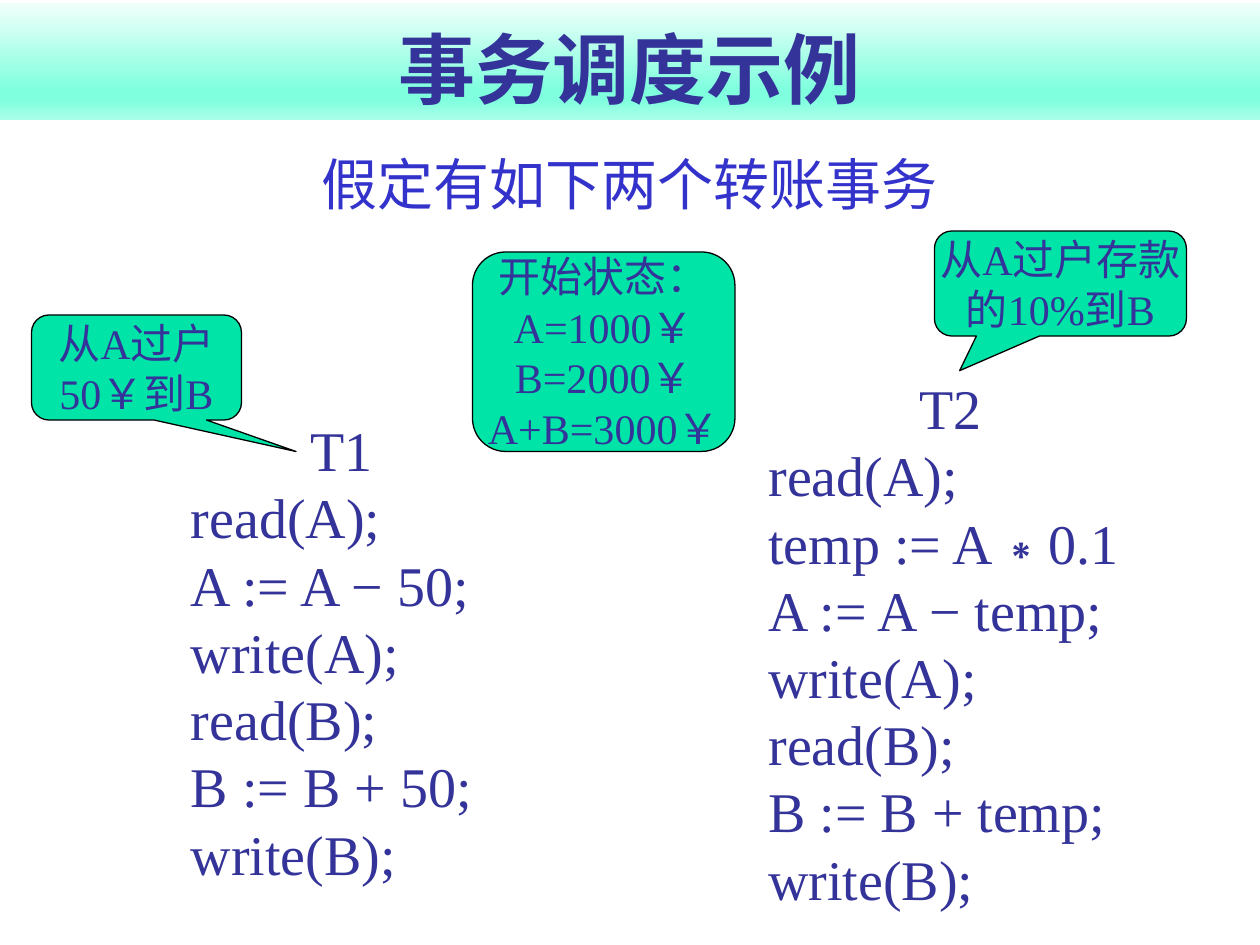
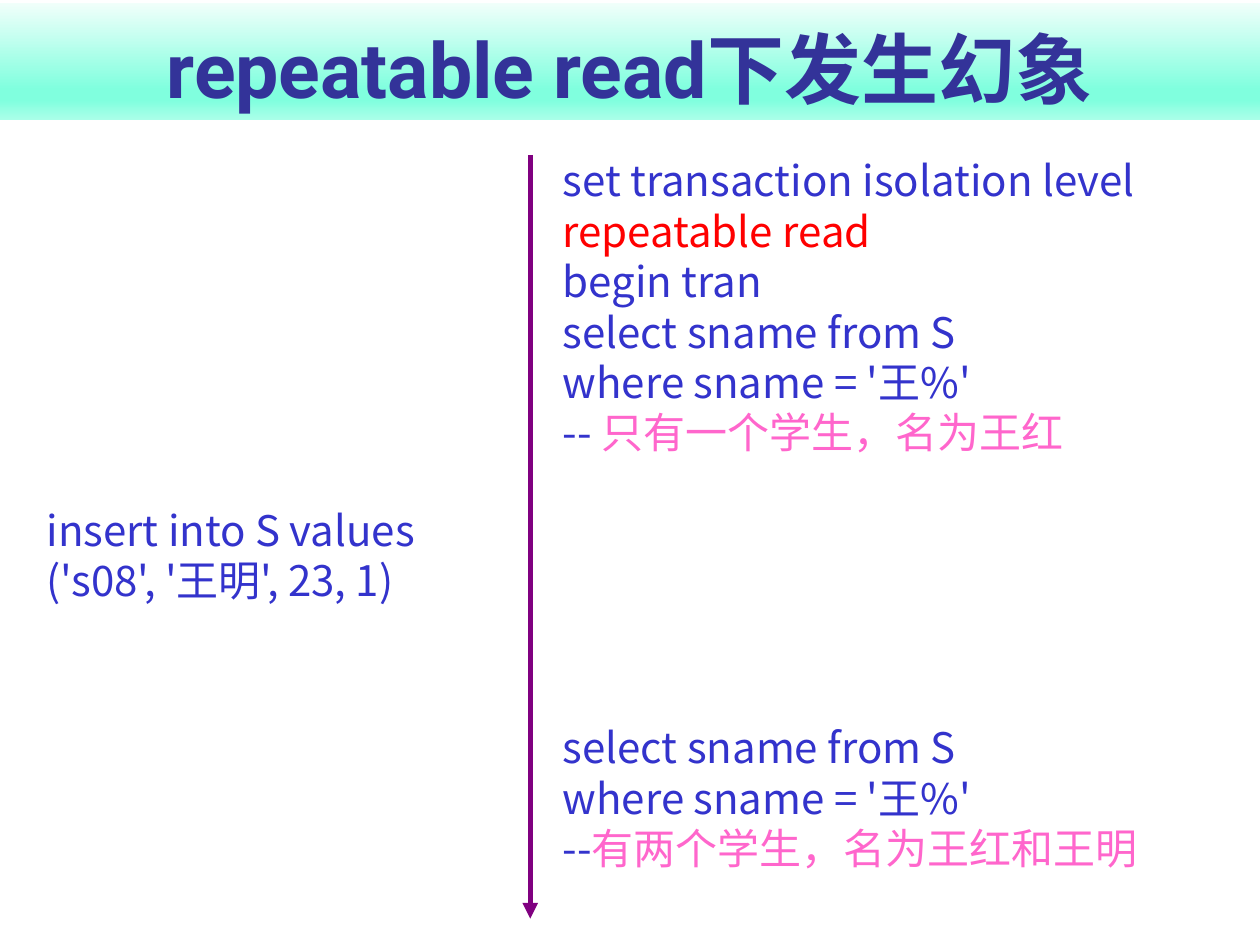
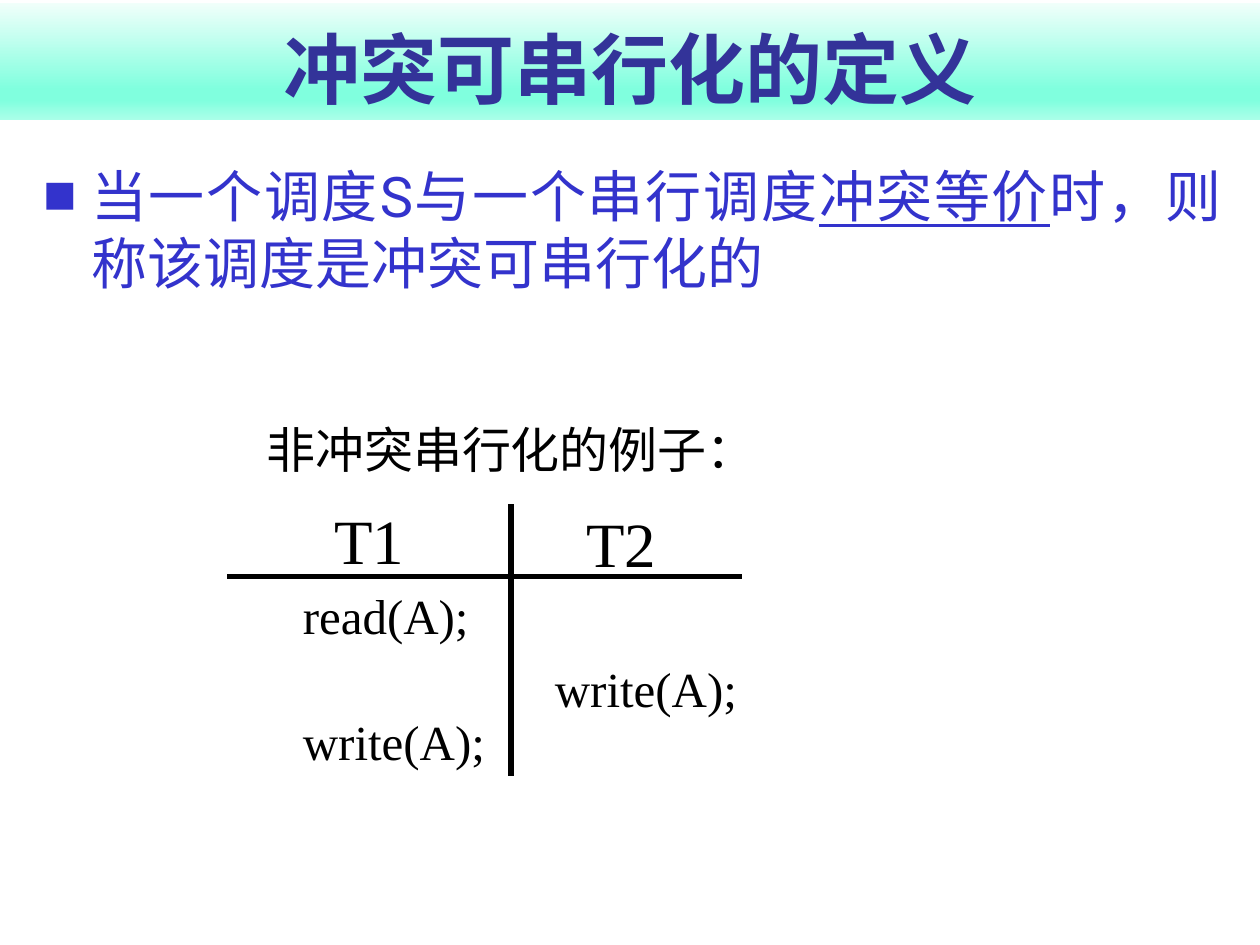
from dataclasses import dataclass
from typing import NamedTuple, Optional

from lxml.etree import SubElement
from pptx import Presentation
from pptx.dml.color import RGBColor
from pptx.enum.shapes import MSO_CONNECTOR as Connector, MSO_SHAPE as ShapeType
from pptx.enum.text import MSO_ANCHOR as Anchor, PP_ALIGN as Align
from pptx.oxml.ns import qn
from pptx.util import Pt

NAVY = RGBColor(0x33, 0x33, 0x99)
BLUE = RGBColor(0x33, 0x33, 0xCC)
RED = RGBColor(0xFF, 0x00, 0x00)
PINK = RGBColor(0xFF, 0x66, 0xCC)
PURPLE = RGBColor(0x80, 0x00, 0x80)
GREEN = RGBColor(0x00, 0xE4, 0xA8)
BLACK = RGBColor(0x00, 0x00, 0x00)
BAND_STOPS = (
    (0, RGBColor(0xF1, 0xFF, 0xFB)),
    (74, RGBColor(0x80, 0xFF, 0xDE)),
    (83, RGBColor(0x80, 0xFF, 0xDE)),
    (100, RGBColor(0xAA, 0xFF, 0xE9)),
)
SANS = "Roboto"
SERIF = "Times New Roman"
CHINESE = "Noto Sans CJK SC"


class Box(NamedTuple):
    left: float
    top: float
    width: float
    height: float


class Style(NamedTuple):
    font: str
    size: float
    color: RGBColor
    bold: bool = False
    align: Align = Align.LEFT
    spacing: Optional[float] = None


class Span(NamedTuple):
    text: str
    color: Optional[RGBColor] = None
    underline: bool = False


Line = str | Span | list[Span]


@dataclass
class TextBlock:
    box: Box
    lines: list[Line]
    style: Style
    heading: bool = False


@dataclass
class Callout:
    box: Box
    pointer: tuple[float, float]
    lines: list[Line]


@dataclass
class Rule:
    start: tuple[float, float]
    end: tuple[float, float]
    color: RGBColor
    arrow: bool = False


TITLE = Style(SANS, 44, NAVY, bold=True, align=Align.CENTER)
SUBTITLE = Style(SANS, 32, BLUE, align=Align.CENTER)
BODY = Style(SANS, 32, BLUE, align=Align.JUSTIFY)
PROGRAM = Style(SERIF, 32, NAVY)
NOTE = Style(SERIF, 24, NAVY, align=Align.CENTER)
SQL = Style(CHINESE, 24, BLUE)
STEP = Style(SERIF, 28, BLACK, spacing=0.8)
CAPTION = STEP._replace(align=Align.CENTER)
HEADER = Style(SERIF, 36, BLACK, align=Align.CENTER)


def write_lines(frame, lines: list[Line], style: Style, heading: bool = False) -> None:
    for index, line in enumerate(lines):
        paragraph = frame.paragraphs[0] if index == 0 else frame.add_paragraph()
        paragraph.alignment = Align.CENTER if heading and index == 0 else style.align
        if style.spacing:
            paragraph.line_spacing = style.spacing
        spans = line if isinstance(line, list) else [line]
        for item in spans:
            span = Span(item) if isinstance(item, str) else item
            run = paragraph.add_run()
            run.text = span.text
            run.font.name = style.font
            run.font.size = Pt(style.size)
            run.font.bold = style.bold
            run.font.underline = span.underline
            run.font.color.rgb = span.color or style.color
            SubElement(run._r.get_or_add_rPr(), qn("a:ea"), typeface=CHINESE)


def add_text(slide, block: TextBlock):
    shape = slide.shapes.add_textbox(*map(Pt, block.box))
    shape.text_frame.word_wrap = True
    write_lines(shape.text_frame, block.lines, block.style, block.heading)
    return shape


def add_callout(slide, callout: Callout) -> None:
    shape = slide.shapes.add_shape(ShapeType.ROUNDED_RECTANGULAR_CALLOUT, *map(Pt, callout.box))
    shape.shadow.inherit = False
    shape.adjustments[0], shape.adjustments[1] = callout.pointer
    shape.fill.solid()
    shape.fill.fore_color.rgb = GREEN
    shape.line.color.rgb = BLACK
    shape.line.width = Pt(0.75)
    shape.text_frame.word_wrap = False
    shape.text_frame.vertical_anchor = Anchor.MIDDLE
    write_lines(shape.text_frame, callout.lines, NOTE)


def add_rule(slide, rule: Rule) -> None:
    connector = slide.shapes.add_connector(Connector.STRAIGHT, *map(Pt, rule.start + rule.end))
    connector.line.color.rgb = rule.color
    connector.line.width = Pt(3)
    if rule.arrow:
        SubElement(connector.line._get_or_add_ln(), qn("a:tailEnd"), type="triangle")
    SubElement(connector._element.spPr, qn("a:effectLst"))


def add_titled_slide(presentation, title: str):
    slide = presentation.slides.add_slide(presentation.slide_layouts[6])
    band = slide.shapes.add_shape(ShapeType.RECTANGLE, Pt(0), Pt(1.5), Pt(720), Pt(67))
    band.shadow.inherit = False
    band.line.fill.background()
    band.fill.gradient()
    band.fill.gradient_angle = 270
    stops = band._element.spPr.find(qn("a:gradFill")).find(qn("a:gsLst"))
    stops.clear()
    for percent, color in BAND_STOPS:
        stop = SubElement(stops, qn("a:gs"), pos=str(percent * 1000))
        SubElement(stop, qn("a:srgbClr"), val=str(color))
    band.text_frame.word_wrap = True
    band.text_frame.vertical_anchor = Anchor.BOTTOM
    write_lines(band.text_frame, [title], TITLE)
    return slide


def add_bullet(shape) -> None:
    properties = shape.text_frame.paragraphs[0]._p.get_or_add_pPr()
    properties.set("marL", str(Pt(27)))
    properties.set("indent", str(Pt(-27)))
    color = SubElement(properties, qn("a:buClr"))
    SubElement(color, qn("a:srgbClr"), val=str(BLUE))
    SubElement(properties, qn("a:buSzPct"), val="60000")
    SubElement(properties, qn("a:buFont"), typeface=CHINESE)
    SubElement(properties, qn("a:buChar"), char="■")


def build_transfers(presentation) -> None:
    slide = add_titled_slide(presentation, "事务调度示例")
    first = ["T1", "read(A);", "A := A − 50;", "write(A);", "read(B);", "B := B + 50;", "write(B);"]
    second = ["T2", "read(A);", "temp := A∗0.1", "A := A − temp;", "write(A);", "read(B);",
              "B := B + temp;", "write(B);"]
    for block in (
        TextBlock(Box(135, 82, 450, 42), ["假定有如下两个转账事务"], SUBTITLE),
        TextBlock(Box(102, 234, 186, 279), first, PROGRAM, heading=True),
        TextBlock(Box(432, 210, 222, 318), second, PROGRAM, heading=True),
    ):
        add_text(slide, block)
    for callout in (
        Callout(Box(18, 180, 120, 60), (0.76, 0.8), ["从A过户", "50￥到B"]),
        Callout(Box(534, 132, 144, 60), (-0.4, 0.83), ["从A过户存款", "的10%到B"]),
        Callout(Box(270, 144, 150, 114), (0.2, 0.5),
                ["开始状态：", "A=1000￥", "B=2000￥", "A+B=3000￥"]),
    ):
        add_callout(slide, callout)


def build_phantom(presentation) -> None:
    slide = add_titled_slide(presentation, "repeatable read下发生幻象")
    query: list[Line] = ["select sname from S", "where sname = '王%'"]
    before = ["set transaction isolation level", Span("repeatable read", RED), "begin tran",
              *query, [Span("-- "), Span("只有一个学生，名为王红", PINK)]]
    after = [*query, [Span("--"), Span("有两个学生，名为王红和王明", PINK)]]
    insertion = ["insert into S values", "('s08', '王明', 23, 1)"]
    for block in (
        TextBlock(Box(314.5, 85, 391, 181), before, SQL),
        TextBlock(Box(19.5, 284.5, 275, 65.5), insertion, SQL),
        TextBlock(Box(314.5, 409, 363, 94), after, SQL),
    ):
        add_text(slide, block)
    add_rule(slide, Rule((303, 88.5), (303, 525), PURPLE, arrow=True))


def build_definition(presentation) -> None:
    slide = add_titled_slide(presentation, "冲突可串行化的定义")
    definition = [Span("当一个调度S与一个串行调度"), Span("冲突等价", underline=True),
                  Span("时，则称该调度是冲突可串行化的")]
    add_bullet(add_text(slide, TextBlock(Box(18, 88.5, 687, 91), [definition], BODY)))
    for block in (
        TextBlock(Box(82, 242.5, 420, 34), ["非冲突串行化的例子："], CAPTION),
        TextBlock(Box(172, 283, 78, 50.5), ["T1"], HEADER),
        TextBlock(Box(316, 285, 78, 50.5), ["T2"], HEADER),
        TextBlock(Box(166, 337.5, 156, 34), ["read(A);"], STEP),
        TextBlock(Box(310, 379.5, 156, 34), ["write(A);"], STEP),
        TextBlock(Box(166, 409.5, 120, 34), ["write(A);"], STEP),
    ):
        add_text(slide, block)
    add_rule(slide, Rule((130, 329.5), (424, 329.5), BLACK))
    add_rule(slide, Rule((292, 288), (292, 443.5), BLACK))


def main() -> None:
    presentation = Presentation()
    presentation.slide_width = Pt(720)
    presentation.slide_height = Pt(540)
    build_transfers(presentation)
    build_phantom(presentation)
    build_definition(presentation)
    presentation.save("out.pptx")


if __name__ == "__main__":
    main()
